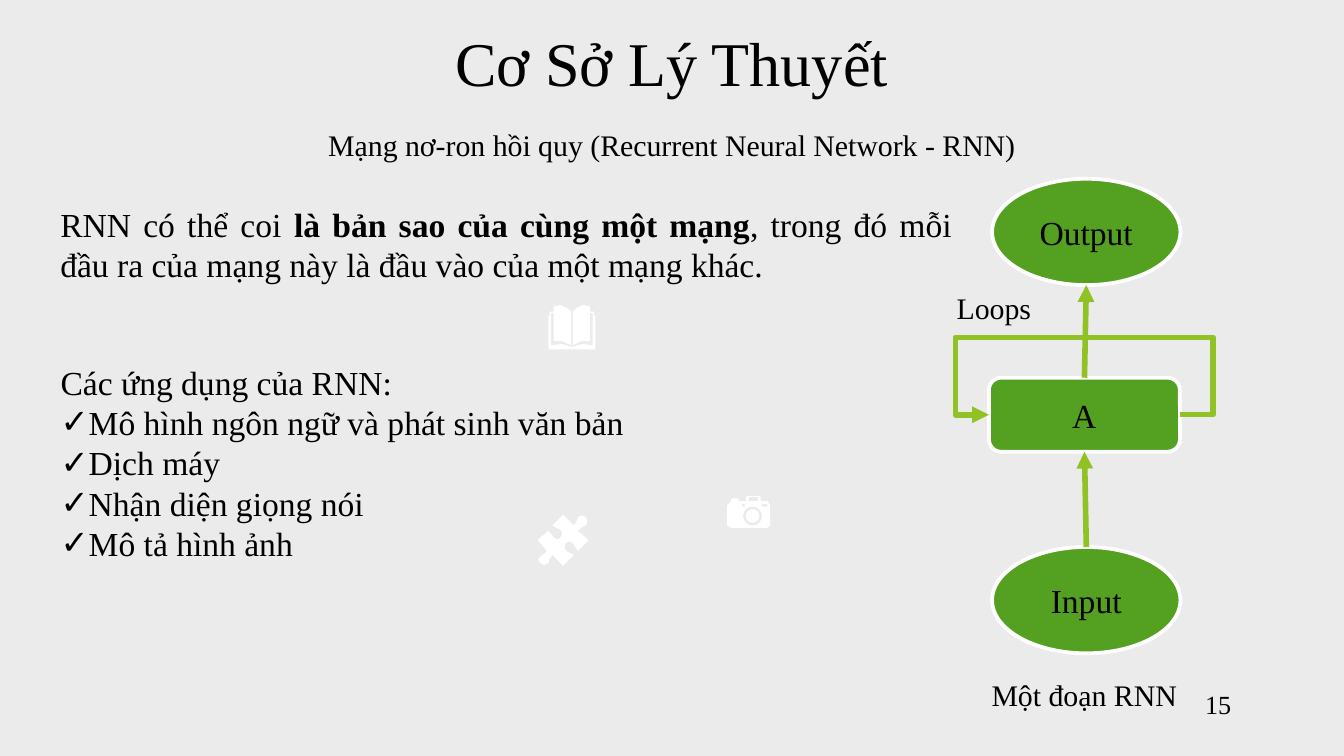
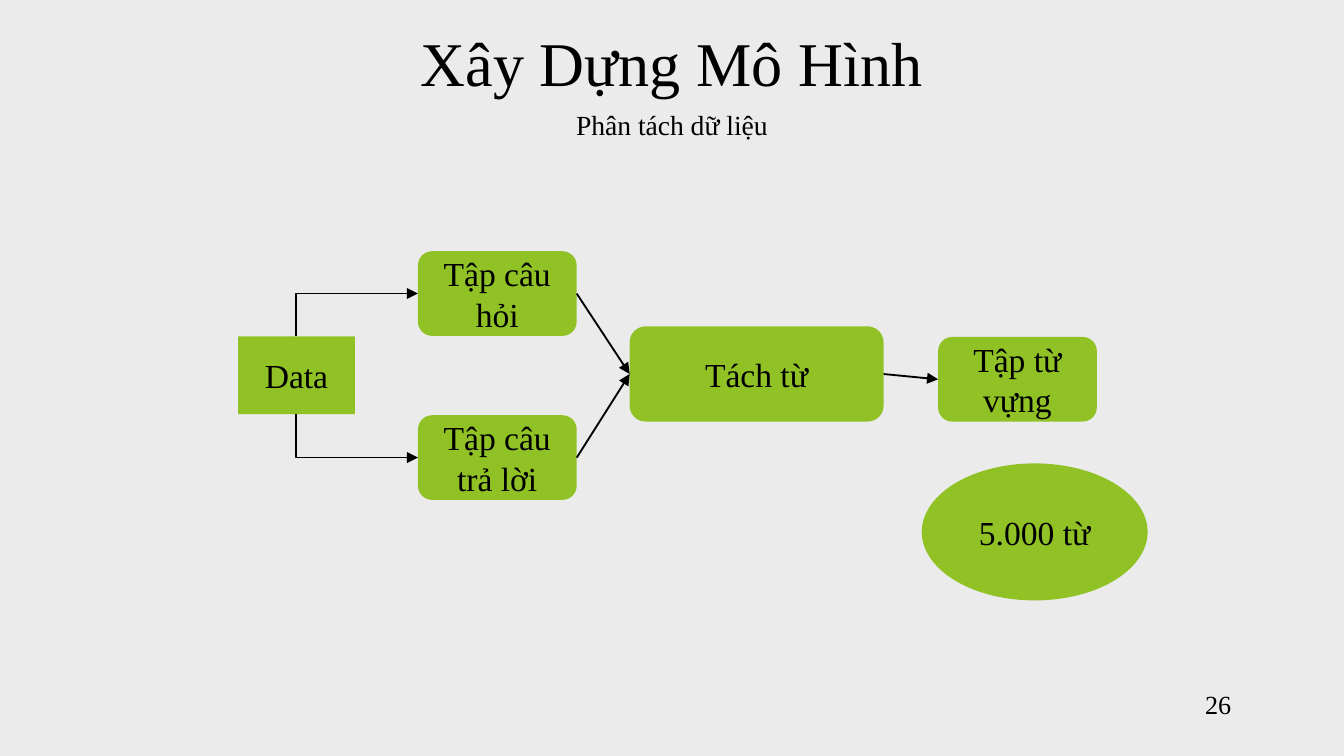
from dataclasses import dataclass
from math import copysign, cos, pi, sin

from lxml import etree
from pptx import Presentation
from pptx.dml.color import RGBColor
from pptx.enum.shapes import MSO_CONNECTOR, MSO_SHAPE
from pptx.enum.text import MSO_ANCHOR, MSO_AUTO_SIZE, PP_ALIGN
from pptx.oxml.ns import qn
from pptx.util import Cm, Pt

STRAIGHT, ELBOW = MSO_CONNECTOR.STRAIGHT, MSO_CONNECTOR.ELBOW
RECT, ROUNDED, OVAL = MSO_SHAPE.RECTANGLE, MSO_SHAPE.ROUNDED_RECTANGLE, MSO_SHAPE.OVAL
TOP, MIDDLE = MSO_ANCHOR.TOP, MSO_ANCHOR.MIDDLE
LEFT, CENTER, RIGHT, JUSTIFY = PP_ALIGN.LEFT, PP_ALIGN.CENTER, PP_ALIGN.RIGHT, PP_ALIGN.JUSTIFY
FIXED, GROW = MSO_AUTO_SIZE.NONE, MSO_AUTO_SIZE.SHAPE_TO_FIT_TEXT
SITE_TOP, SITE_LEFT, SITE_BOTTOM, SITE_RIGHT = range(4)
TITLE_AND_CONTENT, TITLE_ONLY = 1, 5
ICON_UNIT = 0.0254


@dataclass(frozen=True)
class Theme:
    font: str = "Times New Roman"
    background: RGBColor = RGBColor(0xEB, 0xEB, 0xEB)
    ink: RGBColor = RGBColor(0, 0, 0)
    white: RGBColor = RGBColor(0xFF, 0xFF, 0xFF)
    green: RGBColor = RGBColor(0x54, 0xA0, 0x21)
    lime: RGBColor = RGBColor(0x90, 0xC2, 0x26)
    title: float = 33.3
    text: float = 18
    caption: float = 16
    subtitle: float = 14.8
    number: float = 14


def box_points(left, top, right, bottom):
    return [(left, top), (right, top), (right, bottom), (left, bottom)]


def circle_points(x, y, radius, steps=24):
    angles = [2 * pi * step / steps for step in range(steps)]
    return [(x + radius * cos(angle), y + radius * sin(angle)) for angle in angles]


BOOK = [[
    (425, 258), (426, 258), (433.5, 256), (441, 257), (441, 233), (439, 233), (439, 254),
    (432.5, 254), (426, 257), (426, 232), (429.5, 229), (434, 227), (439, 228), (439, 232),
    (442, 232), (442, 235), (443, 235), (443, 260), (408, 260), (408, 235), (409, 235),
    (409, 232), (412, 232), (412, 228), (417, 227), (421.5, 229), (425, 232), (425, 257),
    (418.5, 254), (412, 254), (412, 233), (410, 233), (410, 257), (418, 256),
]]
PUZZLE = [[
    (436, 385), (437, 388), (436, 391), (433, 392.5), (430, 395), (438, 402), (430, 410),
    (428, 407), (426, 404), (423.5, 403), (421, 404), (420, 407), (421, 410), (424, 411.5),
    (427, 413), (419, 421), (411, 413), (409, 416), (408, 419), (405, 420.5), (402, 419),
    (400.5, 416.5), (402, 414), (404.5, 412.5), (407, 410), (400, 402), (408, 395),
    (410.5, 398), (412, 400), (414.5, 401.5), (417, 400), (418.5, 397), (417, 394),
    (414, 393), (411, 391), (419, 383), (427, 391), (429, 388), (430, 385), (433, 383.5),
]]
CAMERA = [
    [(541, 376), (544, 373), (544, 371.5), (545, 371), (549, 371), (550, 372), (550, 373),
     (555, 373), (555, 370), (556, 369), (565, 369), (566, 370), (566, 373), (571, 373),
     (573, 376), (573, 391), (571, 393), (544, 393), (541, 391)],
    circle_points(560, 384, 7),
    circle_points(560, 384, 5),
    box_points(552, 375, 554, 377),
    box_points(567, 375, 571, 377),
    box_points(557, 370, 564, 373),
]


class Deck:
    def __init__(self, theme):
        self.theme = theme
        self.presentation = Presentation()
        self.presentation.slide_width = Cm(25.4)
        self.presentation.slide_height = Cm(14.29)
        backdrop = self.presentation.slide_master.background.fill
        backdrop.solid()
        backdrop.fore_color.rgb = theme.background
        self.slide = None

    def add_slide(self, layout, title, subtitle, subtitle_place, subtitle_size, number):
        self.slide = self.presentation.slides.add_slide(self.presentation.slide_layouts[layout])
        heading = self.slide.shapes.title
        self.place(heading, (0, 0.36, 25.4, 1.6))
        self.set_text(heading, title, self.theme.title, CENTER, MIDDLE)
        self.text(subtitle, subtitle_place, subtitle_size, CENTER, MIDDLE, FIXED)
        self.text(number, (21.31, 12.93, 2.21, 0.76), self.theme.number, RIGHT, MIDDLE, FIXED)

    def place(self, shape, place):
        shape.left, shape.top, shape.width, shape.height = map(Cm, place)

    def style_run(self, run, size):
        run.font.name = self.theme.font
        run.font.size = Pt(size)
        run.font.color.rgb = self.theme.ink

    def set_text(self, shape, text, size, align, anchor, fit=FIXED):
        frame = shape.text_frame
        frame.word_wrap = True
        frame.auto_size = fit
        frame.vertical_anchor = anchor
        frame.text = text
        for paragraph in frame.paragraphs:
            paragraph.alignment = align
            paragraph.space_before = Pt(0)
            for run in paragraph.runs:
                self.style_run(run, size)

    def text(self, text, place, size, align=LEFT, anchor=TOP, fit=GROW):
        box = self.slide.shapes.add_textbox(*map(Cm, place))
        self.set_text(box, text, size, align, anchor, fit)
        return box

    def emphasised(self, parts, place):
        box = self.text("", place, self.theme.text, JUSTIFY)
        for text, bold in parts:
            run = box.text_frame.paragraphs[0].add_run()
            run.text = text
            run.font.bold = bold
            self.style_run(run, self.theme.text)

    def checklist(self, lead, items, place):
        body = self.slide.placeholders[1]
        self.place(body, place)
        self.set_text(body, "\n".join([lead, *items]), self.theme.text, LEFT, TOP)
        for index, paragraph in enumerate(body.text_frame.paragraphs):
            indent = Cm(0.48) if index else 0
            properties = paragraph._p.get_or_add_pPr()
            properties.set("marL", str(int(indent)))
            properties.set("indent", str(-int(indent)))
            if index:
                etree.SubElement(properties, qn("a:buChar")).set("char", "✓")
            else:
                etree.SubElement(properties, qn("a:buNone"))

    def node(self, kind, text, place, fill, outline=None):
        shape = self.slide.shapes.add_shape(kind, *map(Cm, place))
        shape.shadow.inherit = False
        shape.fill.solid()
        shape.fill.fore_color.rgb = fill
        if outline:
            shape.line.color.rgb = outline
            shape.line.width = Pt(2)
        else:
            shape.line.fill.background()
        self.set_text(shape, text, self.theme.text, CENTER, MIDDLE)
        return shape

    def icon(self, contours):
        scaled = [[(Cm(x * ICON_UNIT), Cm(y * ICON_UNIT)) for x, y in contour]
                  for contour in contours]
        builder = self.slide.shapes.build_freeform(*scaled[0][0])
        builder.add_line_segments(scaled[0][1:])
        for contour in scaled[1:]:
            builder.move_to(*contour[0])
            builder.add_line_segments(contour[1:])
        shape = builder.convert_to_shape()
        shape.shadow.inherit = False
        shape.fill.solid()
        shape.fill.fore_color.rgb = self.theme.white
        shape.line.fill.background()

    def connector(self, kind, start, end, color, width, arrow=True):
        line = self.slide.shapes.add_connector(kind, *map(Cm, (*start, *end)))
        line.line.color.rgb = color
        line.line.width = Pt(width)
        properties = line.element.spPr
        if arrow:
            outline = properties.find(qn("a:ln"))
            etree.SubElement(outline, qn("a:tailEnd")).set("type", "triangle")
        etree.SubElement(properties, qn("a:effectLst"))
        return line

    def arrow(self, source, target, color, width, end=(0, 0)):
        line = self.connector(STRAIGHT, (0, 0), end, color, width)
        line.begin_connect(*source)
        if target:
            line.end_connect(*target)

    def loop(self, start, end, bend, arrow):
        line = self.connector(ELBOW, start, end, self.theme.lime, 3, arrow)
        guides = line.element.spPr.find(qn("a:prstGeom")).find(qn("a:avLst"))
        guide = etree.SubElement(guides, qn("a:gd"))
        guide.set("name", "adj1")
        guide.set("fmla", f"val {round(bend * 100000)}")

    def corner(self, start, end):
        (x1, y1), (x2, y2) = start, end
        x, y = (x1 + x2) / 2, (y1 + y2) / 2
        half_rise = abs(y2 - y1) / 2
        half_run = copysign((x2 - x1) / 2, y2 - y1)
        line = self.connector(ELBOW, (x + half_rise, y - half_run),
                              (x - half_rise, y + half_run), self.theme.ink, 1)
        properties = line.element.spPr
        properties.find(qn("a:prstGeom")).set("prst", "bentConnector2")
        degrees = 90 if y2 < y1 else 270
        properties.find(qn("a:xfrm")).set("rot", str(degrees * 60000))


def add_theory(deck):
    theme = deck.theme
    deck.add_slide(TITLE_AND_CONTENT, "Cơ Sở Lý Thuyết",
                   "Mạng nơ-ron hồi quy (Recurrent Neural Network - RNN)",
                   (1.45, 1.91, 22.5, 1.63), theme.caption, "15")
    for contours in (BOOK, PUZZLE, CAMERA):
        deck.icon(contours)
    deck.emphasised([
        ("RNN có thể coi ", False),
        ("là bản sao của cùng một mạng", True),
        (", trong đó mỗi đầu ra của mạng này là đầu vào của một mạng khác.", False),
    ], (0.89, 3.73, 17.35, 1.8))
    deck.checklist("Các ứng dụng của RNN:", [
        "Mô hình ngôn ngữ và phát sinh văn bản",
        "Dịch máy",
        "Nhận diện giọng nói",
        "Mô tả hình ảnh",
    ], (0.89, 6.71, 12.34, 4.11))

    deck.node(OVAL, "Output", (18.75, 3.38, 3.56, 2.01), theme.green, theme.white)
    cell = deck.node(ROUNDED, "A", (18.69, 7.14, 3.61, 1.4), theme.green, theme.white)
    source = deck.node(OVAL, "Input", (18.75, 10.34, 3.56, 2.01), theme.green, theme.white)
    deck.arrow((source, SITE_TOP), (cell, SITE_BOTTOM), theme.lime, 3)
    deck.arrow((cell, SITE_TOP), None, theme.lime, 3, end=(20.53, 5.39))
    crossing = (20.5, 6.38)
    deck.loop((22.3, 7.84), crossing, -0.35, arrow=False)
    deck.loop(crossing, (18.69, 7.84), 1.35, arrow=True)
    deck.text("Một đoạn RNN", (18.49, 12.67, 5, 0.94), theme.caption)
    deck.text("Loops", (17.83, 5.36, 2.16, 0.94), theme.caption)


def add_model(deck):
    theme = deck.theme
    deck.add_slide(TITLE_ONLY, "Xây Dựng Mô Hình", "Phân tách dữ liệu",
                   (0, 1.96, 25.4, 0.79), theme.subtitle, "26")
    deck.node(RECT, "Data", (4.5, 6.36, 2.21, 1.47), theme.lime)
    questions = deck.node(ROUNDED, "Tập câu hỏi", (7.9, 4.75, 3, 1.6), theme.lime)
    answers = deck.node(ROUNDED, "Tập câu trả lời", (7.9, 7.85, 3, 1.6), theme.lime)
    splitting = deck.node(ROUNDED, "Tách từ", (11.9, 6.17, 4.8, 1.8), theme.lime)
    vocabulary = deck.node(ROUNDED, "Tập từ\nvựng", (17.73, 6.37, 3, 1.6), theme.lime)
    deck.corner((5.6, 6.36), (7.9, 5.55))
    deck.corner((5.6, 7.83), (7.9, 8.65))
    for source, target in ((questions, splitting), (answers, splitting), (splitting, vocabulary)):
        deck.arrow((source, SITE_RIGHT), (target, SITE_LEFT), theme.ink, 1)
    deck.node(OVAL, "5.000 từ", (17.42, 8.76, 4.27, 2.59), theme.lime)


def main():
    deck = Deck(Theme())
    add_theory(deck)
    add_model(deck)
    deck.presentation.save("out.pptx")


if __name__ == "__main__":
    main()
